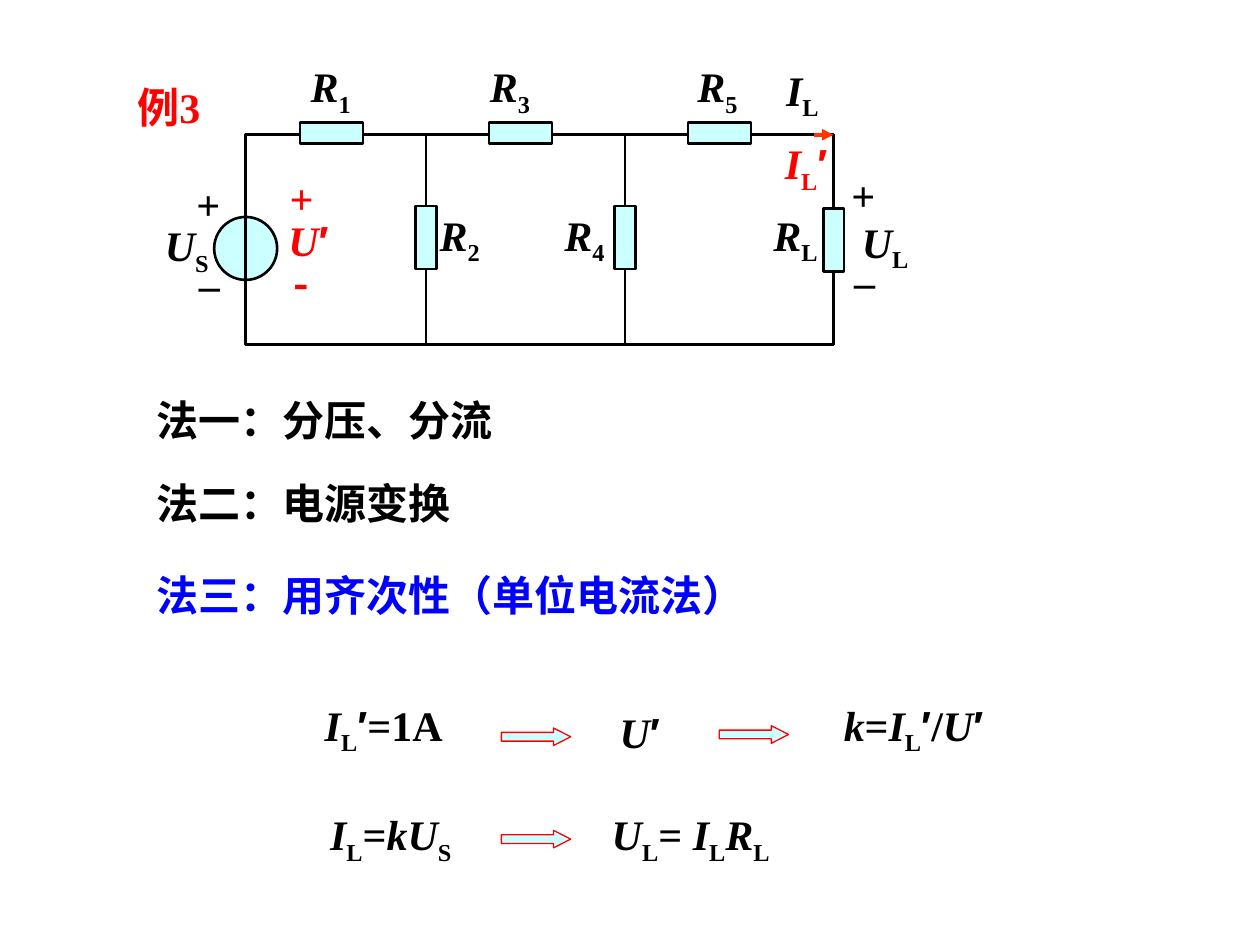
import itertools

import pptx
import pptx.dml.color
import pptx.enum.shapes
import pptx.enum.text
import pptx.oxml.ns
import pptx.util
from lxml import etree

Pt = pptx.util.Pt
KIND = pptx.enum.shapes.MSO_SHAPE
ANCHOR = pptx.enum.text.MSO_ANCHOR
ALIGN = pptx.enum.text.PP_ALIGN
COLOR = {"ink": "000000", "red": "FF0000", "blue": "0000FF",
         "fill": "CCFFFF", "arrow": "FF3300"}
CJK = "Noto Sans CJK SC"
FONTS = {"′": "Arial", "-": CJK}
FRAME = {"margin_left": Pt(7.2), "margin_right": Pt(7.2),
         "margin_top": Pt(3.6), "margin_bottom": Pt(3.6),
         "vertical_anchor": ANCHOR.MIDDLE,
         "auto_size": pptx.enum.text.MSO_AUTO_SIZE.NONE}


def put(item, vals):
    for name, val in vals.items():
        setattr(item, name, val)


def rgb(name):
    return pptx.dml.color.RGBColor.from_string(COLOR[name])


def add(node, tag, **vals):
    return etree.SubElement(node, pptx.oxml.ns.qn(tag), **vals)


def place(item, box):
    put(item, dict(zip(("left", "top", "width", "height"), map(Pt, box))))


def write(para, text, color, face="Times New Roman", italic=False, sub=False):
    run = para.add_run()
    run.text = text
    put(run.font, {"size": Pt(24), "bold": True, "italic": italic, "name": face})
    run.font.color.rgb = rgb(color)
    props = run._r.get_or_add_rPr()
    add(props, "a:ea", typeface=CJK)
    if sub:
        props.set("baseline", "-25000")


def style(pair):
    """Give face, italic and subscript for a sign and the sign before it."""
    last, sign = pair
    sub = last == "_"
    return FONTS.get(sign, "Times New Roman"), sign in "IURk" and not sub, sub


def label(slide, text, box, color="ink"):
    """Add a formula, where _ lowers the next sign."""
    item = slide.shapes.add_textbox(*map(Pt, box))
    put(item.text_frame, {**FRAME, "word_wrap": box[2] > 43})
    pairs = [p for p in zip(" " + text, text) if p[1] != "_"]
    for (face, italic, sub), group in itertools.groupby(pairs, style):
        part = "".join(sign for _, sign in group)
        write(item.text_frame.paragraphs[0], part, color, face, italic, sub)


def shape(slide, kind, box, fill="fill", line="ink", width=1.5):
    item = slide.shapes.add_shape(kind, *map(Pt, box))
    item.shadow.inherit = False
    if fill:
        item.fill.solid()
        item.fill.fore_color.rgb = rgb(fill)
    else:
        item.fill.background()
    item.line.color.rgb = rgb(line)
    item.line.width = Pt(width)
    return item


def wire(slide, x1, y1, x2, y2, color="ink", width=1.5, head=False):
    item = slide.shapes.add_connector(
        pptx.enum.shapes.MSO_CONNECTOR.STRAIGHT, *map(Pt, (x1, y1, x2, y2)))
    item.line.color.rgb = rgb(color)
    item.line.width = Pt(width)
    if head:
        add(item.line._get_or_add_ln(), "a:tailEnd", type="triangle")
    add(item._element.spPr, "a:effectLst")


def circuit(slide, box):
    x, y, w, h = box
    shape(slide, KIND.RECTANGLE, box, fill=None)
    for dx in (103, 216.7):
        wire(slide, x + dx, y, x + dx, y + h)
    shape(slide, KIND.OVAL, (x - 18, y + 47, 36, 36))
    wire(slide, x, y + 47, x, y + 83)
    loads = [(49, -1, 0), (157, -1, 0), (270.7, -1, 0),
             (103, 58.7, 270), (216.7, 58.7, 270), (w, 60, 270)]
    for dx, dy, turn in loads:
        part = shape(slide, KIND.RECTANGLE, (x + dx - 18, y + dy - 6, 36, 12))
        part.rotation = turn
    wire(slide, x + w - 11, y, x + w, y, "arrow", 2.25, True)
    signs = [
        ("R_1", 30, -46, 37.4, 40), ("R_3", 132.5, -46, 37.4, 40),
        ("R_5", 251, -46, 37.4, 40), ("R_2", 103.7, 39, 37.4, 40),
        ("R_4", 175, 39, 37.4, 40), ("R_L", 294.5, 39, 39.6, 40),
        ("U_S", -53.3, 45, 39.6, 40), ("+", -35.3, 21.4, 28, 36),
        ("–", -33.8, 67.4, 26, 36), ("U_L", 345, 43, 41, 40),
        ("+", 339, 16.3, 28, 36), ("–", 340.6, 65.3, 26, 36),
        ("I_L", 301.7, -44, 60, 40), ("I_L′", 301, -2, 45, 40, "red"),
        ("U′", 17.3, 42.5, 39.6, 34.6, "red"),
        ("+", 18, 18.8, 28, 34.6, "red"), ("-", 20.2, 67, 21, 34.6, "red")]
    for text, dx, dy, wide, high, *color in signs:
        label(slide, text, (x + dx, y + dy, wide, high), *color)


def heading(slide, box):
    item = slide.shapes.title
    place(item, box)
    put(item.text_frame, {**FRAME, "word_wrap": True})
    para = item.text_frame.paragraphs[0]
    para.alignment = ALIGN.LEFT
    write(para, "例3", "red")


def methods(slide, box):
    item = slide.placeholders[1]
    place(item, box)
    frame = item.text_frame
    put(frame, {**FRAME, "vertical_anchor": ANCHOR.TOP, "word_wrap": True})
    rows = [("法一：分压、分流", "ink", 0), ("法二：电源变换", "ink", 19),
            ("法三：用齐次性（单位电流法）", "blue", 23.5)]
    for num, (text, color, gap) in enumerate(rows):
        para = frame.add_paragraph() if num else frame.paragraphs[0]
        put(para, {"space_before": Pt(gap), "alignment": ALIGN.LEFT})
        props = para._p.get_or_add_pPr()
        put_none = {"marL": "0", "indent": "0"}
        for key, val in put_none.items():
            props.set(key, val)
        add(props, "a:buNone")
        write(para, text, color)


def steps(slide, box):
    x, y, _, _ = box
    signs = [("I_L′=1A", 0, 0, 96.5), ("U′", 168.5, 2, 39.6),
             ("k=I_L′/U′", 296.6, 0, 117.4),
             ("I_L=kU_S", 3, 62.6, 99.4), ("U_L= I_LR_L", 164, 62.6, 119)]
    for text, dx, dy, wide in signs:
        label(slide, text, (x + dx, y + dy, wide, 40))
    for dx, dy in ((108, 20), (232.5, 18.7), (108, 78.5)):
        part = shape(slide, KIND.RIGHT_ARROW, (x + dx, y + dy, 39.6, 10),
                     line="red", width=0.75)
        part.adjustments[0] = 0.5
        part.adjustments[1] = 0.98


def main():
    deck = pptx.Presentation()
    put(deck, {"slide_width": Pt(720), "slide_height": Pt(540)})
    slide = deck.slides.add_slide(deck.slide_layouts[1])
    heading(slide, (71.3, 43.2, 62, 36))
    circuit(slide, (140.4, 77, 336, 120))
    methods(slide, (82.5, 221.6, 392, 155))
    steps(slide, (178.5, 396, 414, 103))
    deck.save("out.pptx")


if __name__ == "__main__":
    main()
